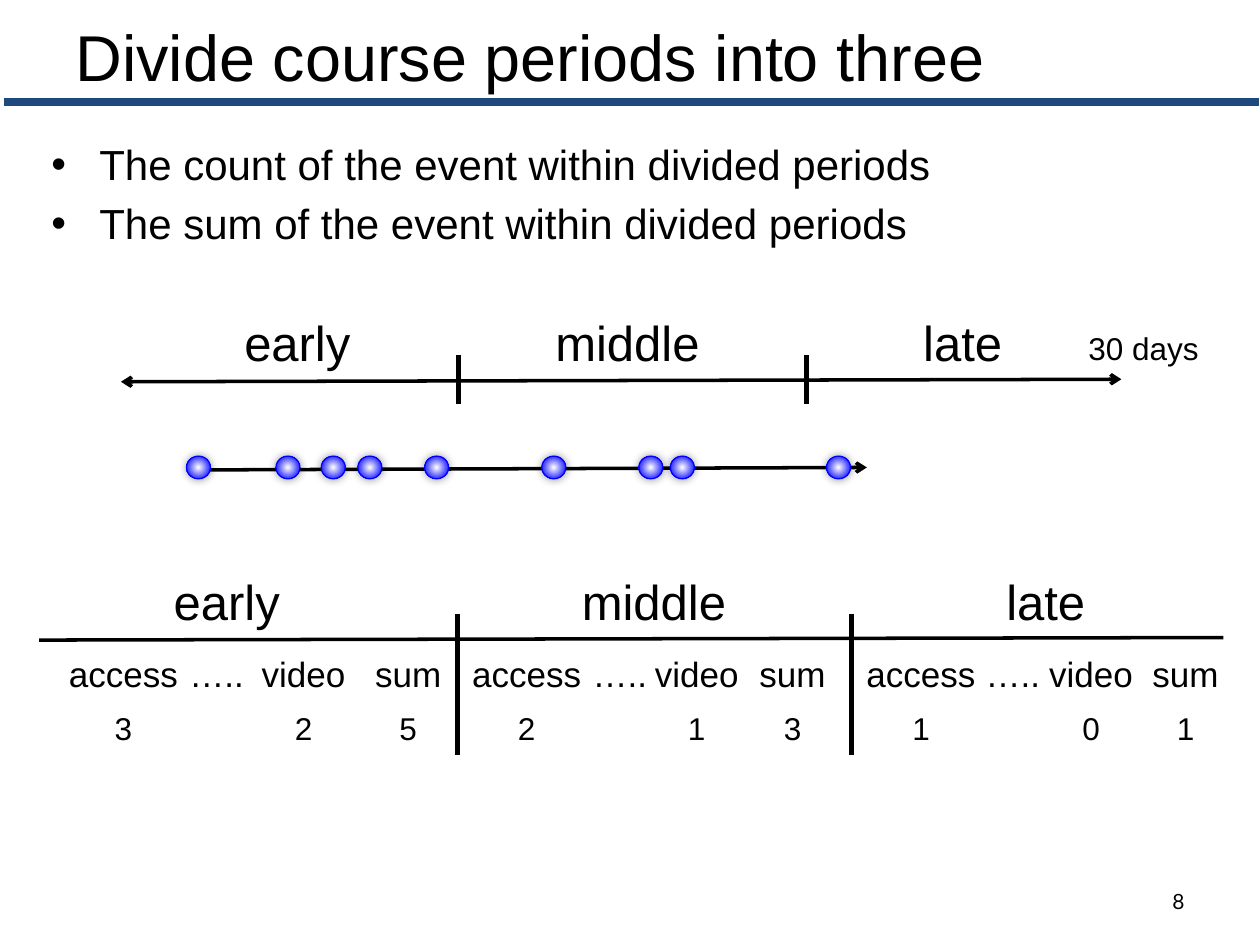
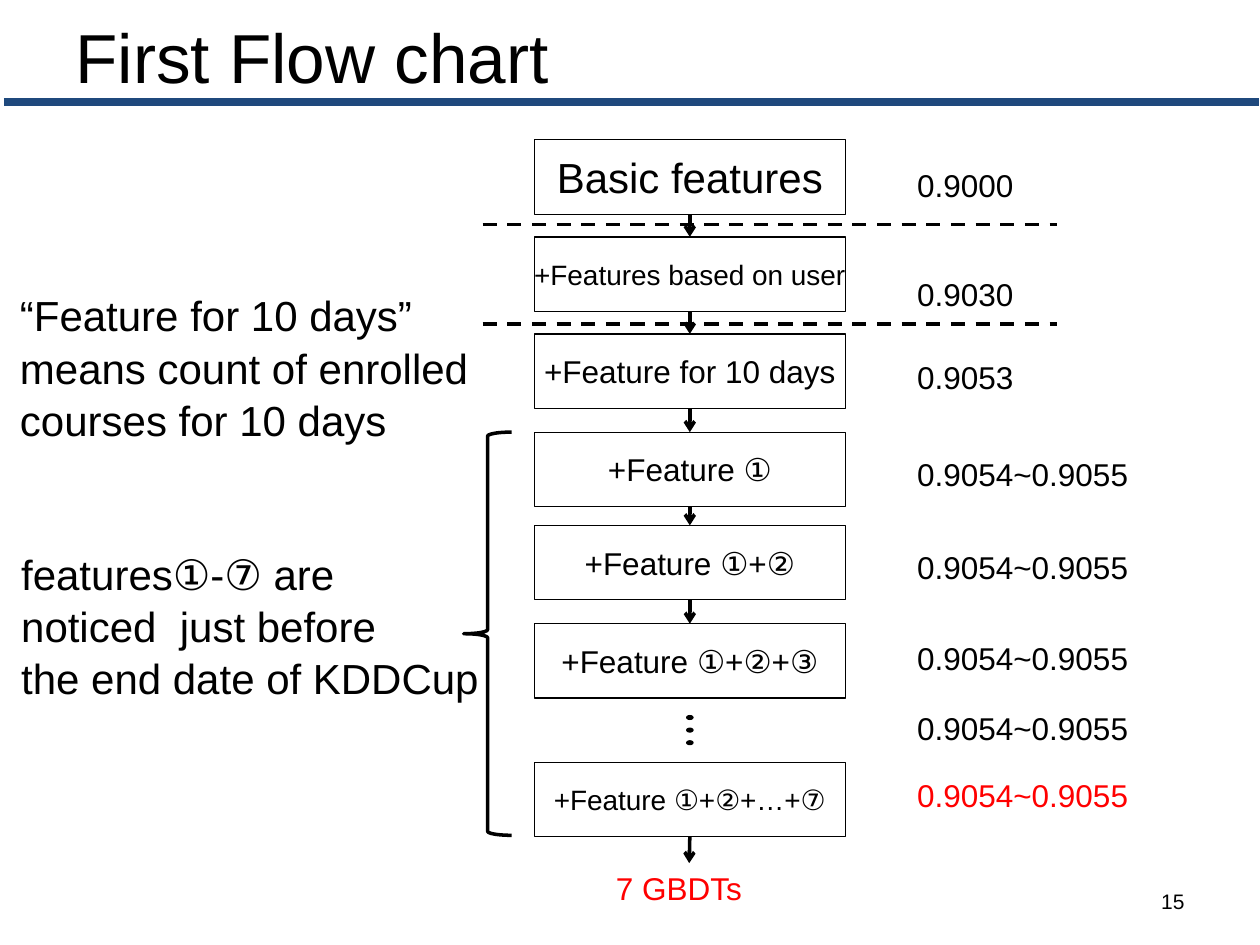
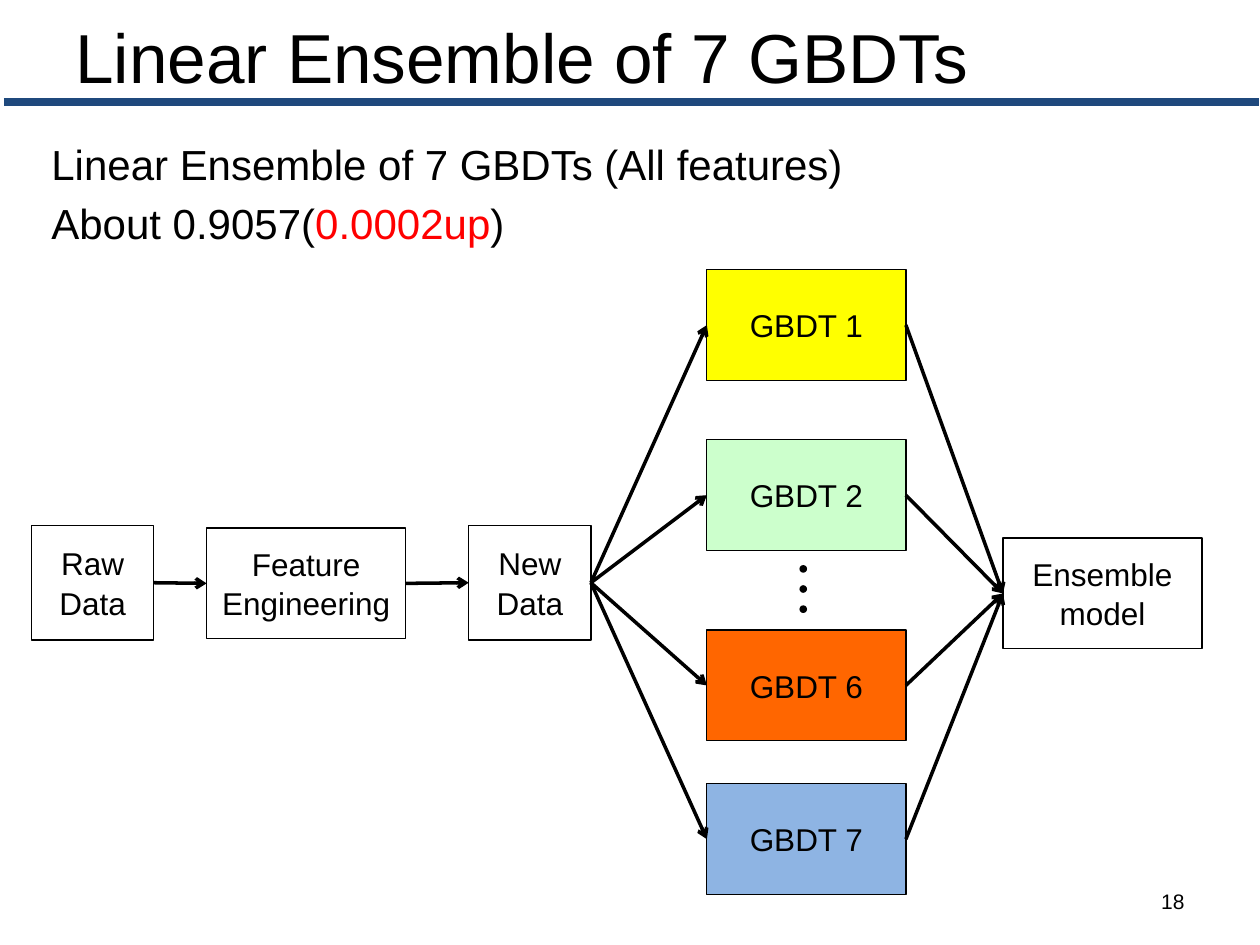
from lxml import etree
from pptx import Presentation
from pptx import util as u
from pptx.dml.color import RGBColor
from pptx.enum import dml, shapes, text
from pptx.oxml import parse_xml
from pptx.oxml.ns import nsdecls, qn

BLACK = RGBColor(0x00, 0x00, 0x00)
RED = RGBColor(0xFF, 0x00, 0x00)
BLUE = RGBColor(0x00, 0x00, 0xFF)
NAVY = RGBColor(0x1F, 0x49, 0x7D)
YELLOW = RGBColor(0xFF, 0xFF, 0x00)
MINT = RGBColor(0xCC, 0xFF, 0xCC)
ORANGE = RGBColor(0xFF, 0x66, 0x00)
SKY = RGBColor(0x8E, 0xB4, 0xE3)

# The grid has 100 columns and 75 rows.
WIDTH, HEIGHT = u.Inches(10), u.Inches(7.5)
COLUMN, ROW = WIDTH / 100, HEIGHT / 75

LEFT, CENTER, RIGHT = (text.PP_ALIGN.LEFT, text.PP_ALIGN.CENTER,
                       text.PP_ALIGN.RIGHT)
MIDDLE = text.MSO_ANCHOR.MIDDLE
RECTANGLE = shapes.MSO_SHAPE.RECTANGLE
OVAL = shapes.MSO_SHAPE.OVAL
TOP_SIDE, LEFT_SIDE, BOTTOM_SIDE, RIGHT_SIDE = range(4)

NO_INSETS = dict(margin_left=0, margin_right=0, margin_top=0, margin_bottom=0)
CENTERED_FRAME = dict(NO_INSETS, vertical_anchor=MIDDLE, word_wrap=False)
SPACED = dict(space_before=u.Pt(5))
LOOSE = dict(line_spacing=1.04)


def grid(left, top, width, height):
    """Turn columns and rows into a position and a size."""
    return [u.Emu(round(length * unit)) for length, unit in
            zip((left, top, width, height), (COLUMN, ROW) * 2)]


def set_all(target, values):
    for name, value in values.items():
        setattr(target, name, value)


def write(frame, lines, size, color=BLACK, font="Arial", align=LEFT, spacing=None):
    """Fill a frame; a line is a string or a list of (string, colour) runs."""
    for index, line in enumerate(lines):
        paragraph = frame.paragraphs[0] if index == 0 else frame.add_paragraph()
        paragraph.alignment = align
        if index:
            set_all(paragraph, spacing or {})
        for words, run_color in [(line, color)] if isinstance(line, str) else line:
            run = paragraph.add_run()
            run.text = words
            set_all(run.font, dict(name=font, size=u.Pt(size)))
            run.font.color.rgb = run_color


def add_label(slide, at, lines, size, frame=None, **formats):
    box = slide.shapes.add_textbox(*grid(*at))
    set_all(box.text_frame, frame or dict(word_wrap=False))
    write(box.text_frame, lines, size, **formats)
    return box


def add_figure(slide, kind, at, fill=None, line=BLACK, weight=0.75):
    shape = slide.shapes.add_shape(kind, *grid(*at))
    shape.shadow.inherit = False
    if fill is None:
        shape.fill.background()
    else:
        shape.fill.solid()
        shape.fill.fore_color.rgb = fill
    shape.line.color.rgb = line
    shape.line.width = u.Pt(weight)
    return shape


def add_box(slide, at, lines, size=18, fill=None):
    box = add_figure(slide, RECTANGLE, at, fill)
    set_all(box.text_frame, CENTERED_FRAME)
    write(box.text_frame, lines, size, align=CENTER, spacing=LOOSE)
    return box


def add_line(slide, start, end, weight=2, color=BLACK, heads=(), dash=None):
    """Draw a line; heads names the ends (headEnd, tailEnd) with an arrow."""
    left, top, right, bottom = grid(*start, *end)
    line = slide.shapes.add_connector(shapes.MSO_CONNECTOR.STRAIGHT,
                                      left, top, right, bottom)
    set_all(line.line, dict(width=u.Pt(weight), dash_style=dash))
    line.line.color.rgb = color
    properties = line._element.spPr
    for head in heads:
        etree.SubElement(properties.find(qn("a:ln")), qn(f"a:{head}"), type="arrow")
    etree.SubElement(properties, qn("a:effectLst"))
    return line


def join(slide, source, source_side, target, target_side):
    arrow = add_line(slide, (0, 0), (1, 1), heads=["tailEnd"])
    arrow.begin_connect(source, source_side)
    arrow.end_connect(target, target_side)


def add_dots(slide, left, top, step, height):
    for index in range(3):
        add_figure(slide, OVAL, (left, top + index * step, 0.5, height), BLACK)


def add_event(slide, left):
    """Draw a glowing ball with a white centre on the event line."""
    ball = add_figure(slide, OVAL, (left, 36.2, 1.9, 1.8), line=BLUE)
    properties = ball._element.spPr
    properties.replace(properties.find(qn("a:noFill")), parse_xml(
        f'<a:gradFill {nsdecls("a")}><a:gsLst>'
        '<a:gs pos="0"><a:srgbClr val="FFFFFF"/></a:gs>'
        f'<a:gs pos="87000"><a:srgbClr val="{BLUE}"/></a:gs></a:gsLst>'
        '<a:path path="circle"><a:fillToRect l="50000" t="50000" r="50000" b="50000"/>'
        '</a:path></a:gradFill>'))
    properties.find(qn("a:effectLst")).append(parse_xml(
        f'<a:outerShdw {nsdecls("a")} blurRad="{u.Pt(5)}" dist="0" dir="0">'
        f'<a:srgbClr val="{BLACK}"><a:alpha val="40000"/></a:srgbClr></a:outerShdw>'))


def add_tabbed_row(slide, top, cells, centers, size):
    """Write cells on one line, each centred on a tab stop."""
    row = add_label(slide, (0, top, 100, 4.4), ["\t" + "\t".join(cells)], size,
                    frame=dict(margin_left=0, margin_right=0, word_wrap=True))
    properties = row.text_frame.paragraphs[0]._p.get_or_add_pPr()
    stops = etree.SubElement(properties, qn("a:tabLst"))
    for center in centers:
        etree.SubElement(stops, qn("a:tab"), pos=str(round(center * COLUMN)), algn="ctr")


def add_period_names(slide, top, centers):
    for name, center in zip(("early", "middle", "late"), centers):
        add_label(slide, (center - 7, top, 14, 5.7), [name], 28, align=CENTER)


def add_body(slide, lines, bulleted=False):
    body = add_label(slide, (3.1, 10.5, 94, 59.1), lines, 24,
                     frame=dict(word_wrap=True), spacing=SPACED)
    if bulleted:
        indent = round(3.8 * COLUMN)
        for paragraph in body.text_frame.paragraphs:
            properties = paragraph._p.get_or_add_pPr()
            properties.set("marL", str(indent))
            properties.set("indent", str(-indent))
            etree.SubElement(properties, qn("a:buFont"), typeface="Arial")
            etree.SubElement(properties, qn("a:buChar"), char="•")


def add_page(presentation, title, number, title_size=39.6, number_font="Arial"):
    slide = presentation.slides.add_slide(presentation.slide_layouts[6])
    frame = dict(vertical_anchor=MIDDLE, word_wrap=True)
    add_line(slide, (0.3, 8.1), (99.9, 8.1), 4.5, NAVY)
    add_label(slide, (5, 1.6, 90, 5.6), [title], title_size, frame)
    add_label(slide, (71.7, 69.5, 23.3, 4), [number], 12, frame,
              font=number_font, align=RIGHT)
    return slide


def build_periods(presentation):
    slide = add_page(presentation, "Divide course periods into three", "8", 37, "Lato")
    add_body(slide, ["The count of the event within divided periods",
                     "The sum of the event within divided periods"], bulleted=True)

    add_line(slide, (9.6, 30.3), (89, 30.1), heads=["headEnd", "tailEnd"])
    for left in (36.4, 64):
        add_line(slide, (left, 28.2), (left, 32.1), 3)
    add_period_names(slide, 24.3, (23.6, 49.8, 76.4))
    add_label(slide, (85.4, 25.6, 10.9, 4), ["30 days"], 18)
    add_line(slide, (14.8, 37.3), (68.8, 37.1), heads=["tailEnd"])
    for left in (14.8, 21.9, 25.5, 28.4, 33.7, 43, 50.7, 53.2, 65.6):
        add_event(slide, left)

    add_line(slide, (3.1, 50.8), (97.1, 50.6))
    for left in (36.3, 67.6):
        add_line(slide, (left, 48.7), (left, 59.9), 3)
    add_period_names(slide, 44.9, (18, 51.9, 83))
    centers = (9.8, 17.2, 24.1, 32.4, 41.8, 49.2, 55.3, 62.9, 73.1, 80.4, 86.6, 94.1)
    add_tabbed_row(slide, 51.3, ["access", "…..", "video", "sum"] * 3, centers, 20)
    counts = ["3", "", "2", "5", "2", "", "1", "3", "1", "", "0", "1"]
    add_tabbed_row(slide, 55.8, counts, centers, 18)


def build_flow_chart(presentation):
    slide = add_page(presentation, "First Flow chart", "15")
    steps = [(11.1, "Basic features", 24), (18.8, "+Features based on user", 16),
             (26.5, "+Feature for 10 days", 18), (34.3, "+Feature ①", 18),
             (41.7, "+Feature ①+②", 18), (49.5, "+Feature ①+②+③", 18),
             (60.5, "+Feature ①+②+…+⑦", 16)]
    boxes = [add_box(slide, (42.4, top, 24.7, 5.9), [name], size)
             for top, name, size in steps]
    for upper, lower in zip(boxes[:5], boxes[1:6]):
        join(slide, upper, BOTTOM_SIDE, lower, TOP_SIDE)
    add_dots(slide, 54.5, 56.8, 1, 0.3)
    result = add_line(slide, (54.7, 66.4), (54.7, 68.5), heads=["tailEnd"])
    result.begin_connect(boxes[-1], BOTTOM_SIDE)
    add_label(slide, (47.9, 68.5, 12.4, 4), ["7 GBDTs"], 18, color=RED)
    for top in (17.8, 25.7):
        add_line(slide, (38.3, top), (83.9, top), dash=dml.MSO_LINE.DASH)

    scores = ["0.9000", "0.9030", "0.9053"] + ["0.9054~0.9055"] * 5
    score_tops = (12.7, 21.3, 27.9, 35.6, 43, 50.2, 55.8, 61.1)
    for score, top in zip(scores, score_tops):
        add_label(slide, (71.8, top, 18.9, 4), [score], 18,
                  color=RED if top == score_tops[-1] else BLACK)

    add_label(slide, (0.6, 22.5, 37.9, 13.1),
              ["“Feature for 10 days”", "means count of enrolled", "courses for 10 days"],
              24, spacing=LOOSE)
    add_label(slide, (0.7, 43, 38.7, 13.1),
              ["features①-⑦ are", "noticed  just before", "the end date of KDDCup"],
              24, spacing=LOOSE)
    add_figure(slide, shapes.MSO_SHAPE.LEFT_BRACE, (36.8, 34.3, 3.8, 32), weight=2)


def build_ensemble(presentation):
    slide = add_page(presentation, "Linear Ensemble of 7 GBDTs", "18")
    add_body(slide, ["Linear Ensemble of 7 GBDTs (All features)",
                     [("About 0.9057(", BLACK), ("0.0002up", RED), (")", BLACK)]])

    raw = add_box(slide, (2.5, 41.7, 9.7, 9.1), ["Raw", "Data"])
    engineering = add_box(slide, (16.4, 41.9, 15.8, 8.8), ["Feature", "Engineering"])
    new = add_box(slide, (37.2, 41.7, 9.7, 9.1), ["New", "Data"])
    ensemble = add_box(slide, (79.6, 42.7, 15.8, 8.8), ["Ensemble", "model"])
    join(slide, raw, RIGHT_SIDE, engineering, LEFT_SIDE)
    join(slide, engineering, RIGHT_SIDE, new, LEFT_SIDE)

    models = [(1, 21.4, YELLOW), (2, 34.9, MINT), (6, 50, ORANGE), (7, 62.2, SKY)]
    for number, top, fill in models:
        model = add_box(slide, (56.1, top, 15.8, 8.8), [f"GBDT {number}"], fill=fill)
        join(slide, new, RIGHT_SIDE, model, LEFT_SIDE)
        join(slide, model, RIGHT_SIDE, ensemble, LEFT_SIDE)
    add_dots(slide, 63.5, 44.9, 1.6, 0.5)


def main():
    presentation = Presentation()
    set_all(presentation, dict(slide_width=WIDTH, slide_height=HEIGHT))
    build_periods(presentation)
    build_flow_chart(presentation)
    build_ensemble(presentation)
    presentation.save("out.pptx")


if __name__ == "__main__":
    main()
